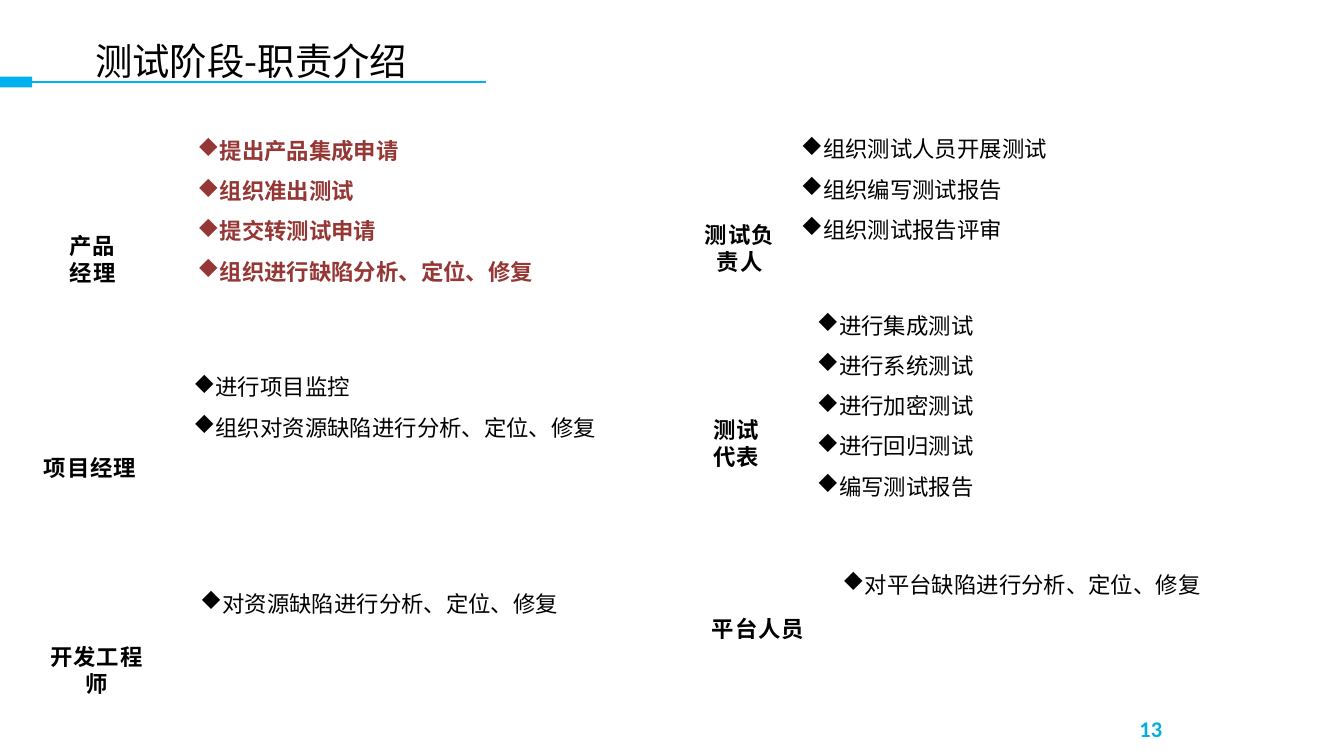
"""Build the slide on who is responsible for what in the test phase."""
import pptx
import pptx.dml.color
import pptx.enum.shapes
import pptx.enum.text
import pptx.oxml
import pptx.oxml.ns
import pptx.util

RGBColor = pptx.dml.color.RGBColor
BLACK = RGBColor(0x00, 0x00, 0x00)
RED = RGBColor(0x95, 0x37, 0x35)
BLUE = RGBColor(0x00, 0xB0, 0xF0)
TEAL = RGBColor(0x04, 0xAE, 0xDA)
LATIN, CJK = "Calibri", "Noto Sans CJK SC"
CENTER = pptx.enum.text.PP_ALIGN.CENTER
WIDTH = 10
HEIGHT = WIDTH * 9 / 16
DUTY_LINE = 21.6

TITLE = "测试阶段-职责介绍"
PAGE = "13"
ROLES = [
    ("产品经理", (0.36, 1.68, 0.66), (1.37, 0.87, 3.07), RED,
     ["提出产品集成申请", "组织准出测试", "提交转测试申请", "组织进行缺陷分析、定位、修复"]),
    ("项目经理", (0.22, 3.33, 0.9), (1.34, 2.63, 3.26), BLACK,
     ["进行项目监控", "组织对资源缺陷进行分析、定位、修复"]),
    ("开发工程师", (0.22, 4.74, 1), (1.39, 4.24, 3.32), BLACK,
     ["对资源缺陷进行分析、定位、修复"]),
    ("测试负责人", (5.07, 1.6, 0.87), (5.86, 0.86, 3.98), BLACK,
     ["组织测试人员开展测试", "组织编写测试报告", "组织测试报告评审"]),
    ("测试代表", (5.16, 3.05, 0.64), (5.98, 2.17, 3.86), BLACK,
     ["进行集成测试", "进行系统测试", "进行加密测试", "进行回归测试", "编写测试报告"]),
    ("平台人员", (5.19, 4.53, 0.9), (6.17, 4.1, 3.32), BLACK,
     ["对平台缺陷进行分析、定位、修复"]),
]


def add_child(parent, tag, **attrs):
    child = pptx.oxml.parse_xml(f"<a:{tag} {pptx.oxml.ns.nsdecls('a')}/>")
    for key, value in attrs.items():
        child.set(key, value)
    parent.append(child)


def add_text(s, lines, box, font, size, color, bold=False, align=None,
             line=None, bullet=None, spacing=None):
    sp = s.shapes.add_textbox(*map(pptx.util.Inches, box))
    tf = sp.text_frame
    tf.word_wrap = True
    tf.text = "\n".join(lines)
    for p in tf.paragraphs:
        if bullet:
            pPr = p._p.get_or_add_pPr()
            pPr.set("marL", "0")
            pPr.set("indent", "0")
            add_child(pPr, "buFont", typeface="Wingdings", charset="2")
            add_child(pPr, "buChar", char=bullet)
        if align is not None:
            p.alignment = align
        if line:
            p.line_spacing = pptx.util.Pt(line)
        for r in p.runs:
            r.font.size = pptx.util.Pt(size)
            r.font.bold = bold
            r.font.color.rgb = color
            r.font.name = font
            rPr = r.font._element
            add_child(rPr, "ea", typeface=font)
            if spacing:
                rPr.set("spc", str(spacing))


def add_title_rule(s):
    inch = pptx.util.Inches
    line = s.shapes.add_connector(pptx.enum.shapes.MSO_CONNECTOR.STRAIGHT,
                                  inch(3.62), inch(0.61), inch(0.23), inch(0.61))
    line.line.color.rgb = BLUE
    line.line.width = pptx.util.Pt(0.75)
    add_child(line._element.spPr, "effectLst")
    tab = s.shapes.add_shape(pptx.enum.shapes.MSO_SHAPE.RECTANGLE,
                             0, inch(0.57), inch(0.24), inch(0.08))
    tab.shadow.inherit = False
    tab.fill.solid()
    tab.fill.fore_color.rgb = BLUE
    tab.line.fill.background()


def main():
    prs = pptx.Presentation()
    prs.slide_width = pptx.util.Inches(WIDTH)
    prs.slide_height = pptx.util.Inches(HEIGHT)
    s = prs.slides.add_slide(prs.slide_layouts[6])
    add_title_rule(s)
    add_text(s, [TITLE], (0.61, 0.21, 4.23, 0.47), CJK, 20, BLACK, line=25.6)
    add_text(s, [PAGE], (8.38, 5.27, 0.37, 0.3), LATIN, 12, TEAL, bold=True)
    for role, label, (left, top, width), color, duties in ROLES:
        add_text(s, [role], (*label, 0.3), LATIN, 12, BLACK, bold=True,
                 align=CENTER, spacing=50)
        height = 0.1 + len(duties) * DUTY_LINE / 72
        add_text(s, duties, (left, top, width, height), CJK, 12, color,
                 bold=color == RED, line=DUTY_LINE, bullet="u")
    prs.save("out.pptx")


if __name__ == "__main__":
    main()
